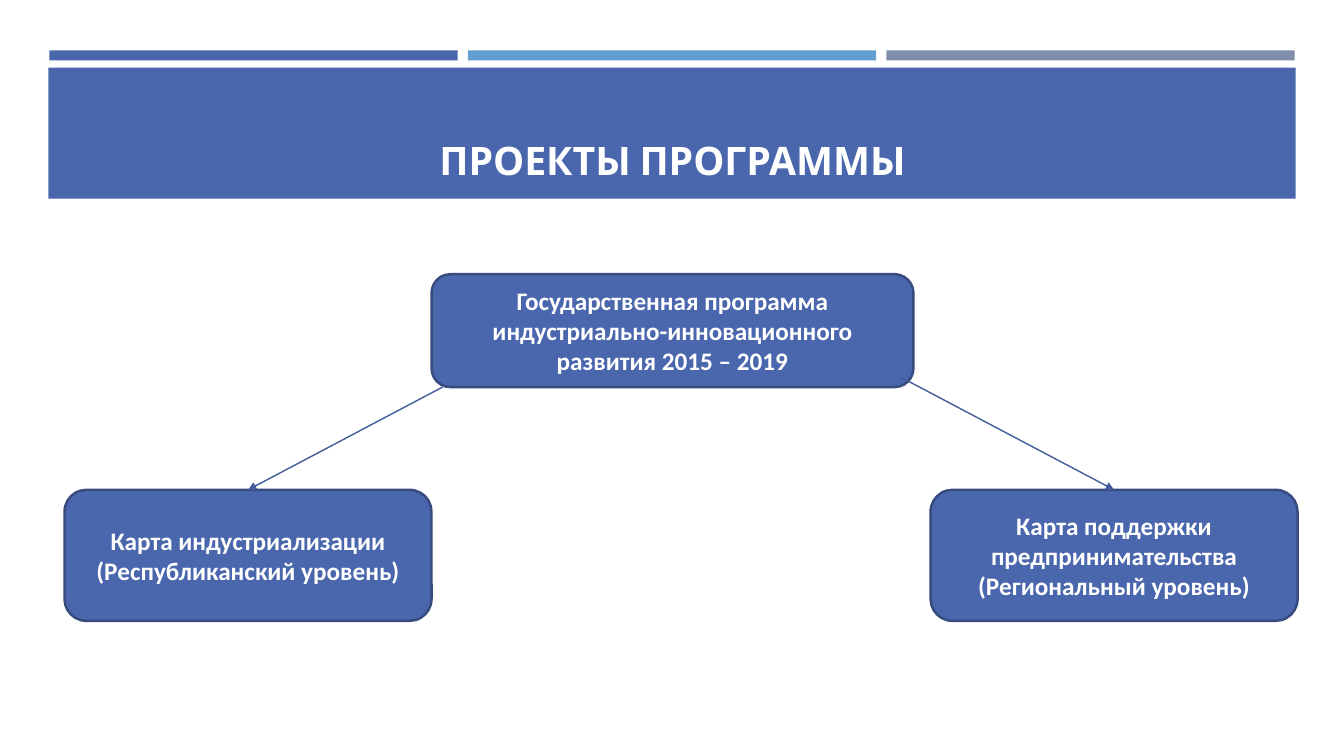
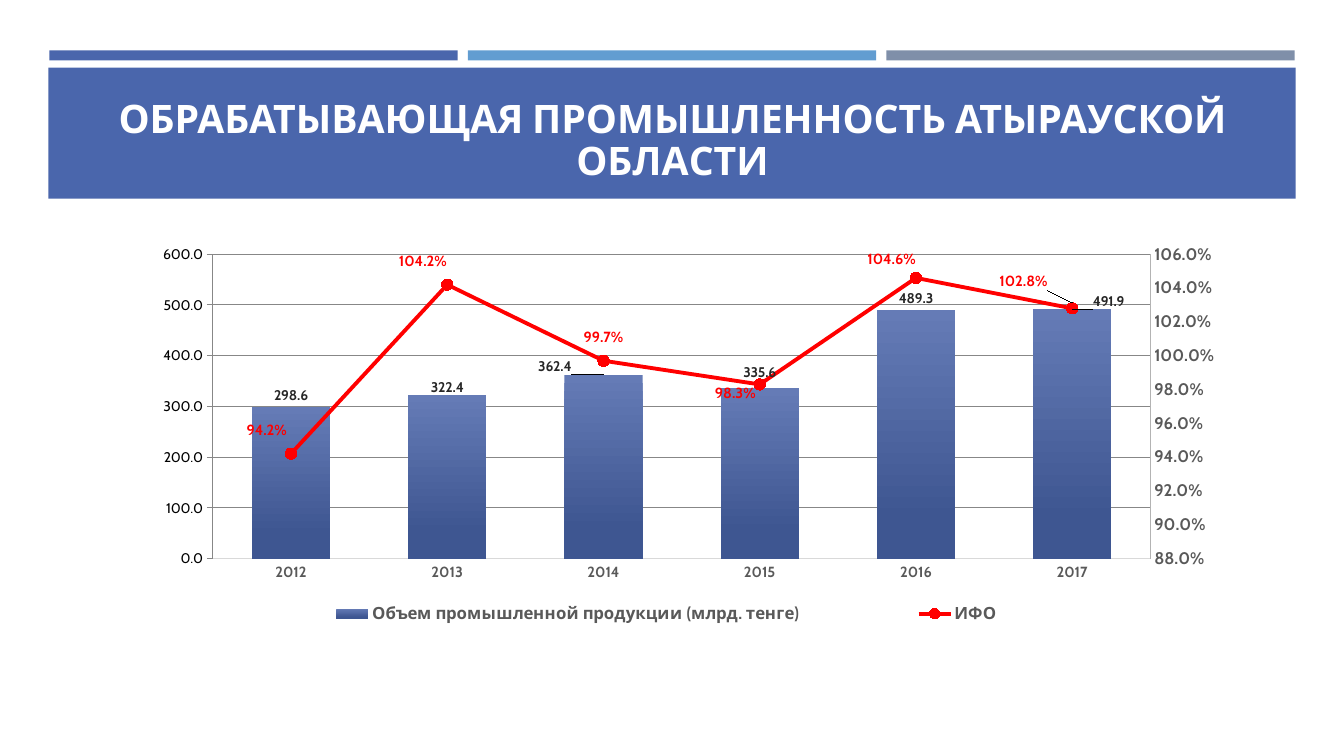
from dataclasses import dataclass
from typing import Any
from lxml.etree import SubElement
from pptx import Presentation
from pptx.chart.axis import ValueAxis
from pptx.chart.data import CategoryChartData
from pptx.dml.color import RGBColor
from pptx.enum.chart import (XL_CHART_TYPE, XL_LABEL_POSITION, XL_LEGEND_POSITION,
                             XL_MARKER_STYLE, XL_TICK_MARK)
from pptx.enum.shapes import MSO_CONNECTOR, MSO_SHAPE
from pptx.enum.text import MSO_ANCHOR, PP_ALIGN
from pptx.oxml import parse_xml
from pptx.oxml.ns import nsdecls, qn
from pptx.util import Inches, Pt

HUES = {
    "blue": "4A66AC", "sky": "629DD1", "slate": "7F8FA9", "edge": "374B7F",
    "arrow": "435C9B", "white": "FFFFFF", "red": "FF0000", "dark": "262626",
    "gray": "595959", "grid": "D9D9D9", "top": "657BB6", "base": "3E5691",
    "left": "9DC3E3", "right": "B3B3B3",
}
HEAD, BODY = "Cabin", "Calibri"


@dataclass
class Box:
    left: float
    top: float
    width: float
    height: float
    text: str = ""
    fill: str = "blue"
    edge: str = ""
    form: MSO_SHAPE = MSO_SHAPE.RECTANGLE


@dataclass
class Arrow:
    start: tuple[float, float]
    end: tuple[float, float]


def hue(name: str) -> RGBColor:
    return RGBColor.from_string(HUES[name])


def style(font: Any, size: float, color: str, face: str = HEAD) -> None:
    font.size, font.bold, font.name = Pt(size), True, face
    font.color.rgb = hue(color)


def write(frame: Any, text: str, *, size: float, color: str = "white", face: str = HEAD,
          anchor: MSO_ANCHOR = MSO_ANCHOR.MIDDLE, space: float = 1.0) -> None:
    frame.text = text
    frame.word_wrap = True
    frame.vertical_anchor = anchor
    for para in frame.paragraphs:
        para.alignment = PP_ALIGN.CENTER
        para.line_spacing = space
        style(para.runs[0].font, size, color, face)


def draw(slide: Any, box: Box) -> Any:
    shape = slide.shapes.add_shape(box.form, Inches(box.left), Inches(box.top),
                                   Inches(box.width), Inches(box.height))
    shape.shadow.inherit = False
    shape.fill.solid()
    shape.fill.fore_color.rgb = hue(box.fill)
    if box.edge:
        shape.line.color.rgb = hue(box.edge)
        shape.line.width = Pt(1.75)
    else:
        shape.line.fill.background()
    if box.text:
        write(shape.text_frame, box.text, size=18, face=BODY)
    return shape


def link(slide: Any, arrow: Arrow) -> None:
    ends = [Inches(n) for n in arrow.start + arrow.end]
    line = slide.shapes.add_connector(MSO_CONNECTOR.STRAIGHT, *ends)
    line.line.color.rgb = hue("arrow")
    line.line.width = Pt(1)
    props = line.element.spPr
    SubElement(props.find(qn("a:ln")), qn("a:tailEnd"), type="triangle")
    SubElement(props, qn("a:effectLst"))


def start(deck: Any, plan: Any, text: str) -> Any:
    slide = deck.slides.add_slide(plan)
    write(slide.shapes.title.text_frame, text, size=28, anchor=MSO_ANCHOR.BOTTOM, space=0.9)
    return slide


def brand(slide: Any, plan: Any) -> None:
    bands = [Box(0.49 + 4.15 * i, 0.5, 4.05, 0.1, fill=name)
             for i, name in enumerate(("blue", "sky", "slate"))]
    bands.append(Box(0.48, 0.67, 12.37, 1.3))
    for i, band in enumerate(bands):
        plan.shapes.element.insert(2 + i, draw(slide, band).element)
    title = plan.placeholders[0]
    title.left, title.top = Inches(0.64), Inches(0.77)
    title.width, title.height = Inches(12.06), Inches(1.11)


def place(node: Any, index: int, **spots: Any) -> None:
    for old in node.findall(qn("c:layout")):
        node.remove(old)
    parts = "".join(f'<c:{key} val="{val}"/>' for key, val in spots.items())
    node.insert(index, parse_xml(
        f'<c:layout {nsdecls("c")}><c:manualLayout>{parts}</c:manualLayout></c:layout>'))


def label(series: Any, node: Any, size: float, color: str, form: str,
          spot: XL_LABEL_POSITION, moves: dict[int, tuple[float, float]]) -> None:
    labels = series.data_labels
    labels.show_value = True
    labels.number_format, labels.number_format_is_linked = form, False
    labels.position = spot
    style(labels.font, size, color)
    for i, (x, y) in moves.items():
        item = series.points[i].data_label
        style(item.font, size, color)
        item.position = spot
        mark = node.xpath(f"c:dLbls/c:dLbl[c:idx/@val={i}]")[0]
        place(mark, 1, x=x, y=y)


def scale(axis: Any, low: float, high: float, step: float, form: str, color: str) -> None:
    axis.minimum_scale, axis.maximum_scale, axis.major_unit = low, high, step
    labels = axis.tick_labels
    labels.number_format, labels.number_format_is_linked = form, False
    style(labels.font, 12, "gray")
    axis.format.line.color.rgb = hue(color)
    axis.format.line.width = Pt(0.75)


def split(chart: Any) -> Any:
    root = chart.element
    node = root.xpath("//c:ser")[1]
    for item in node.findall(qn("c:invertIfNegative")):
        node.remove(item)
    line = parse_xml(
        f'<c:lineChart {nsdecls("c")}><c:grouping val="standard"/><c:varyColors val="0"/>'
        '<c:marker val="1"/><c:axId val="50"/><c:axId val="60"/></c:lineChart>')
    line.insert(2, node)
    root.xpath("//c:barChart")[0].addnext(line)
    last = root.xpath("//c:valAx")[0]
    for kind, me, other, gone, side, cross in (
            ("valAx", 60, 50, 0, "r", "max"), ("catAx", 50, 60, 1, "b", "autoZero")):
        axis = parse_xml(
            f'<c:{kind} {nsdecls("c")}><c:axId val="{me}"/>'
            '<c:scaling><c:orientation val="minMax"/></c:scaling>'
            f'<c:delete val="{gone}"/><c:axPos val="{side}"/>'
            '<c:majorTickMark val="out"/><c:minorTickMark val="none"/>'
            f'<c:tickLblPos val="nextTo"/><c:crossAx val="{other}"/>'
            f'<c:crosses val="{cross}"/></c:{kind}>')
        last.addnext(axis)
    return ValueAxis(root.xpath("//c:valAx")[1])


def graph(slide: Any) -> None:
    data = CategoryChartData()
    data.categories = [str(year) for year in range(2012, 2018)]
    data.add_series("Объем промышленной продукции (млрд. тенге)",
                    (298.6, 322.4, 362.4, 335.6, 489.3, 491.9), "#,##0.0")
    data.add_series("ИФО", (0.942, 1.042, 0.997, 0.983, 1.046, 1.028), "0.0%")
    chart = slide.shapes.add_chart(
        XL_CHART_TYPE.COLUMN_CLUSTERED, Inches(0.64), Inches(2.39),
        Inches(12.06), Inches(4.02), data).chart
    chart.has_title = False
    chart.font.name, chart.font.size = HEAD, Pt(10)
    right = split(chart)
    bars, lines = chart.plots
    bars.gap_width, bars.vary_by_categories = 100, False
    bar, line = bars.series[0], lines.series[0]
    nodes = chart.element.xpath("//c:ser")

    fill = bar.format.fill
    fill.gradient()
    fill.gradient_angle = 270
    for stop, name, spot in zip(fill.gradient_stops, ("top", "base"), (0, 0.84)):
        stop.color.rgb, stop.position = hue(name), spot
    label(bar, nodes[0], 10, "dark", "#,##0.0", XL_LABEL_POSITION.OUTSIDE_END,
          {1: (0, 0.01), 2: (-0.04, 0.01), 3: (0, -0.01), 5: (0.03, 0.01)})

    line.smooth = False
    line.format.line.color.rgb = hue("red")
    line.format.line.width = Pt(2.75)
    dot = line.marker
    dot.style, dot.size = XL_MARKER_STYLE.CIRCLE, 8
    dot.format.fill.solid()
    dot.format.fill.fore_color.rgb = hue("red")
    dot.format.line.color.rgb = hue("red")
    label(line, nodes[1], 10.5, "red", "0.0%", XL_LABEL_POSITION.ABOVE,
          {0: (-0.02, -0.01), 1: (-0.02, -0.01), 2: (0, -0.01),
           3: (-0.02, 0.07), 4: (-0.02, 0), 5: (-0.04, -0.02)})

    years, left = chart.category_axis, chart.value_axis
    years.major_tick_mark = left.major_tick_mark = XL_TICK_MARK.NONE
    style(years.tick_labels.font, 10.5, "gray")
    years.format.line.color.rgb = hue("grid")
    years.format.line.width = Pt(1)
    scale(left, 0, 600, 100, "#,##0.0", "left")
    scale(right, 0.88, 1.06, 0.02, "0.0%", "right")
    grid = left.major_gridlines.format.line
    grid.color.rgb, grid.width = hue("grid"), Pt(0.75)

    chart.has_legend = True
    key = chart.legend
    key.position, key.include_in_layout = XL_LEGEND_POSITION.BOTTOM, False
    style(key.font, 12, "gray")
    place(chart.element.xpath("//c:legend")[0], 1, xMode="edge", yMode="edge",
          x=0.13, y=0.88, w=0.73, h=0.08)
    place(chart.element.xpath("//c:plotArea")[0], 0, layoutTarget="inner",
          xMode="edge", yMode="edge", x=0.122, y=0.033, w=0.771, h=0.751)


def main() -> None:
    deck = Presentation()
    deck.slide_width, deck.slide_height = Inches(13.33), Inches(7.5)
    plan = deck.slide_layouts[5]
    slide = start(deck, plan, "ПРОЕКТЫ ПРОГРАММЫ")
    brand(slide, plan)
    look = {"edge": "edge", "form": MSO_SHAPE.ROUNDED_RECTANGLE}
    for box in (
        Box(4.28, 2.72, 4.78, 1.12,
            "Государственная программа индустриально-инновационного развития 2015 – 2019", **look),
        Box(0.64, 4.86, 3.64, 1.3, "Карта индустриализации\n(Республиканский уровень)", **look),
        Box(9.23, 4.86, 3.64, 1.3,
            "Карта поддержки предпринимательства\n(Региональный уровень)", **look),
    ):
        draw(slide, box)
    for arrow in (Arrow((4.39, 3.84), (2.46, 4.86)), Arrow((8.93, 3.74), (11.05, 4.86))):
        link(slide, arrow)
    graph(start(deck, plan, "ОБРАБАТЫВАЮЩАЯ ПРОМЫШЛЕННОСТЬ АТЫРАУСКОЙ ОБЛАСТИ"))
    deck.save("out.pptx")


main()
